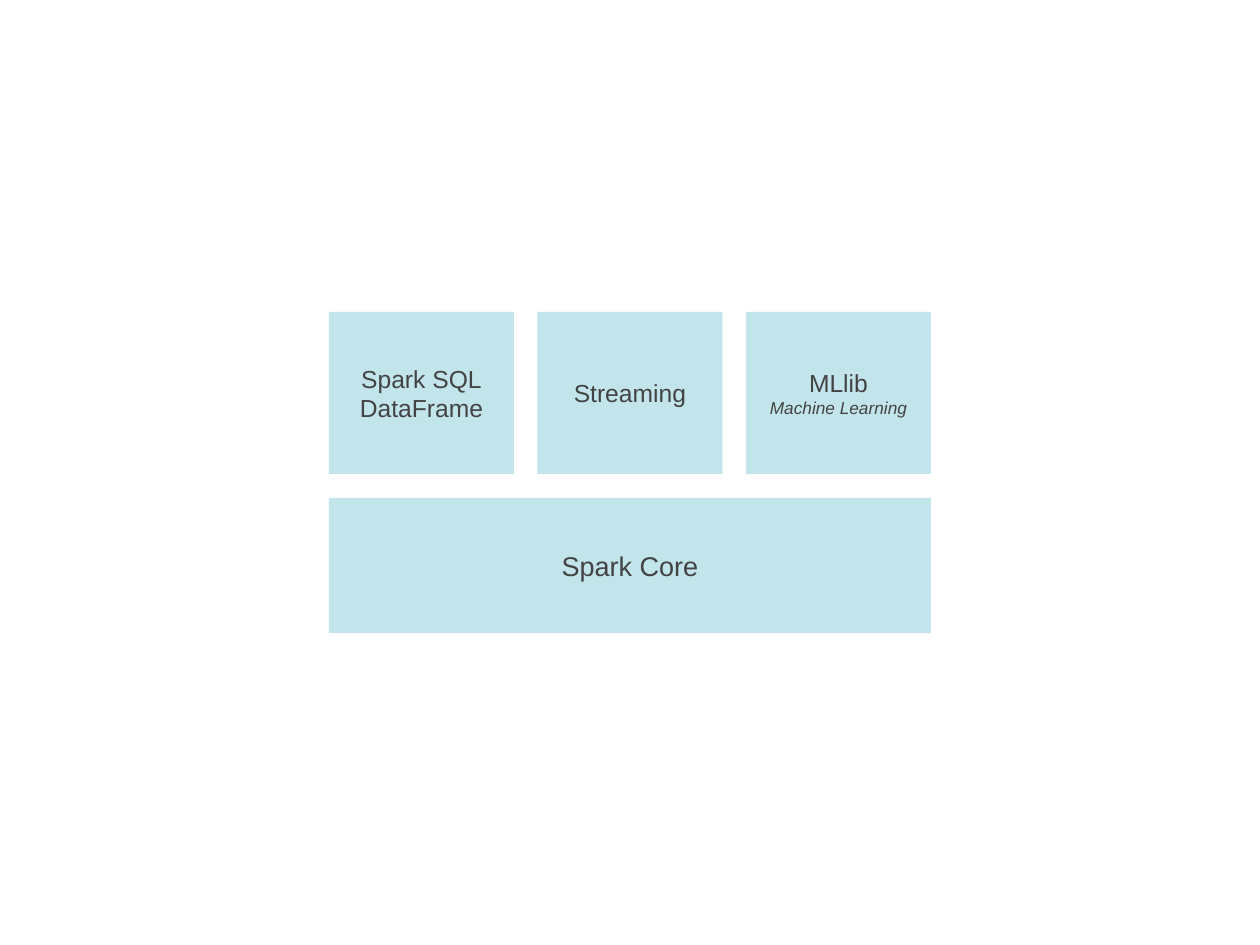
from pptx import Presentation
from pptx.dml.color import RGBColor
from pptx.enum.shapes import MSO_SHAPE
from pptx.enum.text import MSO_ANCHOR, PP_ALIGN
from pptx.util import Emu, Pt

LIBRARIES = [
    [("Spark SQL", 20, False), ("DataFrame", 20, False)],
    [("Streaming", 20, False)],
    [("MLlib", 20, False), ("Machine Learning", 14, True)],
]
CORE = [("Spark Core", 22, False)]

BOX_FILL = RGBColor(0xC2, 0xE5, 0xEB)
TEXT_COLOR = RGBColor(0x43, 0x43, 0x43)
FONT = "Arial"

EMU_PER_PX = 914400 / 88.6
SLIDE_WIDTH, SLIDE_HEIGHT = 1260, 945
STACK_LEFT, STACK_WIDTH = 329, 602
LIBRARY_TOP, LIBRARY_WIDTH, LIBRARY_HEIGHT = 312, 185, 162
CORE_TOP, CORE_HEIGHT = 498, 135
INSET = 5


def px(length):
    return Emu(round(length * EMU_PER_PX))


def add_box(slide, left, top, width, height, lines):
    shape = slide.shapes.add_shape(
        MSO_SHAPE.RECTANGLE, px(left), px(top), px(width), px(height)
    )
    shape.shadow.inherit = False
    shape.fill.solid()
    shape.fill.fore_color.rgb = BOX_FILL
    shape.line.fill.background()

    frame = shape.text_frame
    frame.word_wrap = True
    frame.vertical_anchor = MSO_ANCHOR.MIDDLE
    frame.margin_left = frame.margin_right = px(INSET)
    frame.margin_top = frame.margin_bottom = px(INSET)
    for index, (text, size, italic) in enumerate(lines):
        paragraph = frame.add_paragraph() if index else frame.paragraphs[0]
        paragraph.text = text
        paragraph.alignment = PP_ALIGN.CENTER
        paragraph.font.name = FONT
        paragraph.font.size = Pt(size)
        paragraph.font.italic = italic
        paragraph.font.color.rgb = TEXT_COLOR


def main():
    presentation = Presentation()
    presentation.slide_width = px(SLIDE_WIDTH)
    presentation.slide_height = px(SLIDE_HEIGHT)
    slide = presentation.slides.add_slide(presentation.slide_layouts[6])

    pitch = (STACK_WIDTH - LIBRARY_WIDTH) / (len(LIBRARIES) - 1)
    for column, lines in enumerate(LIBRARIES):
        left = STACK_LEFT + column * pitch
        add_box(slide, left, LIBRARY_TOP, LIBRARY_WIDTH, LIBRARY_HEIGHT, lines)
    add_box(slide, STACK_LEFT, CORE_TOP, STACK_WIDTH, CORE_HEIGHT, CORE)

    presentation.save("out.pptx")


if __name__ == "__main__":
    main()
